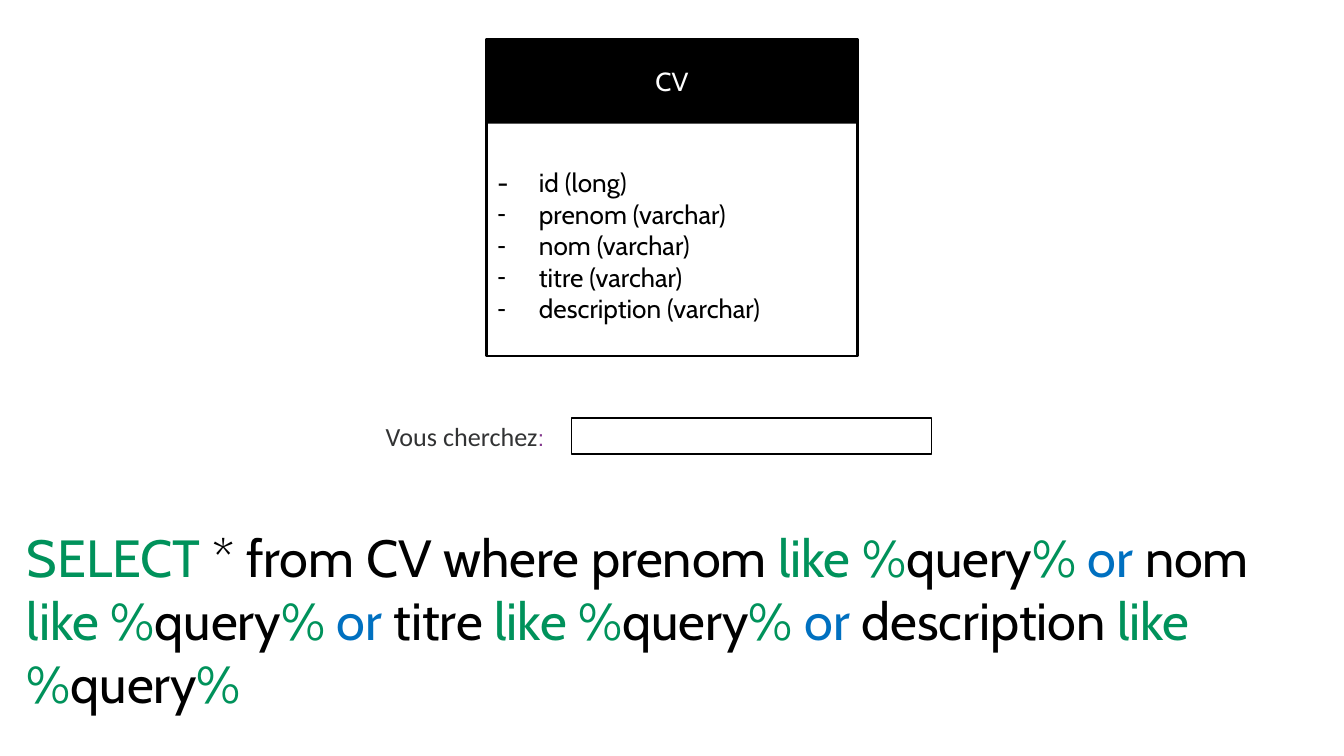
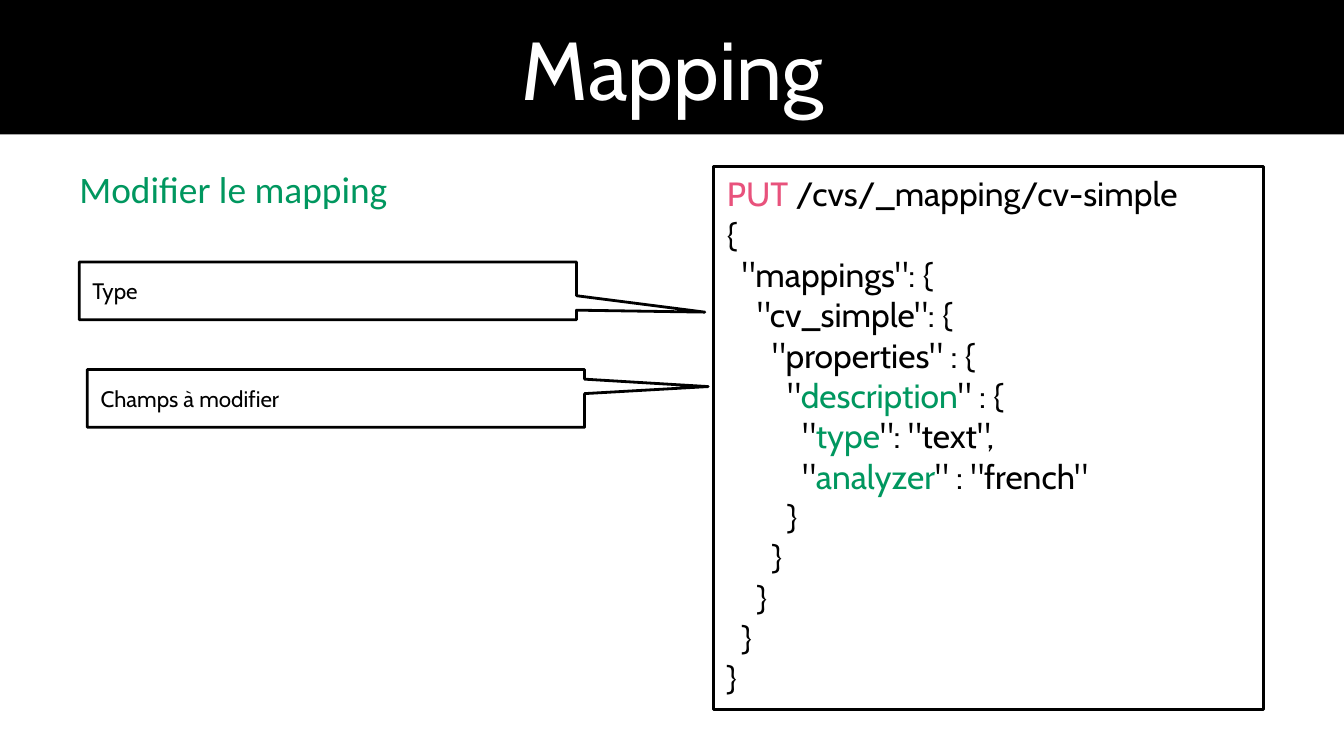
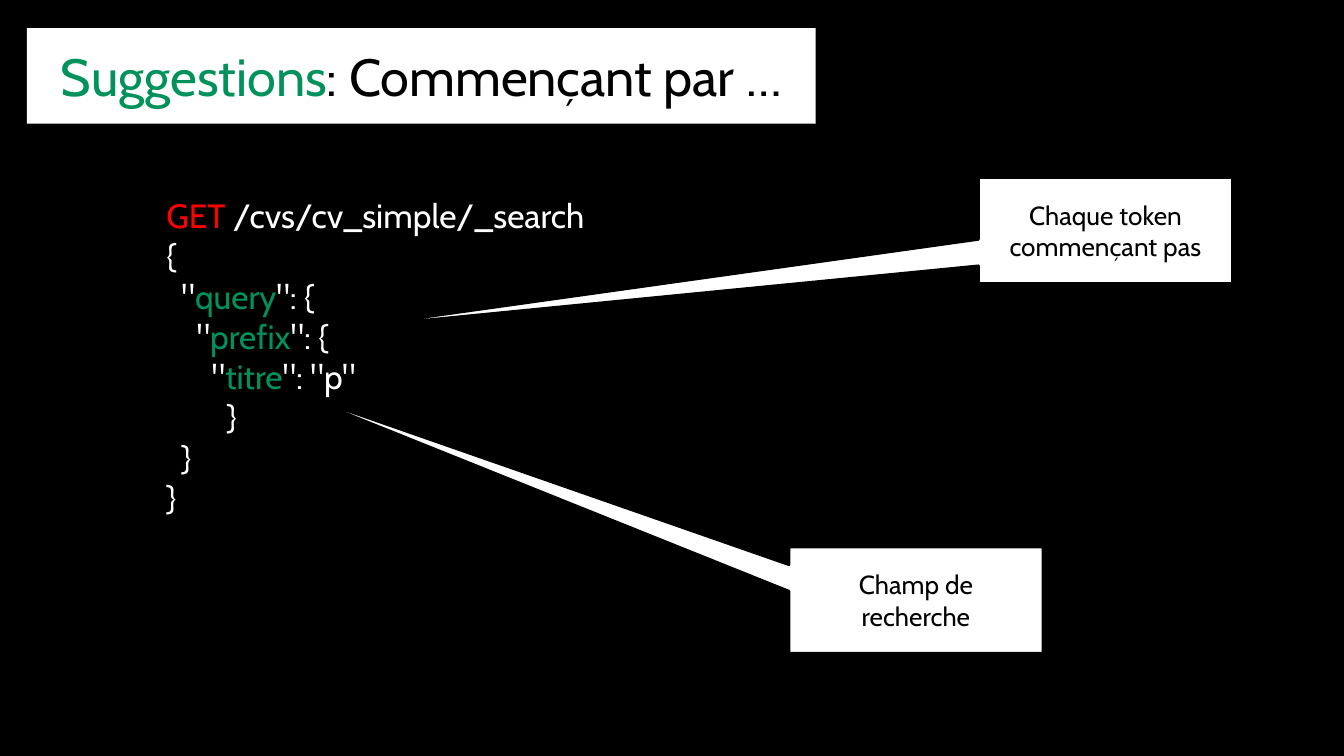
"""Build three slides on searching CVs: SQL query, mapping change and prefix suggestions."""
from dataclasses import dataclass

from lxml import etree
from pptx import Presentation, util as u
from pptx.dml.color import RGBColor
from pptx.enum import shapes as kinds, text as txt
from pptx.oxml.ns import qn


@dataclass(frozen=True)
class Theme:
    """Colours, fonts and type sizes shared by the slides."""
    black: str = "000000"
    white: str = "FFFFFF"
    green: str = "00925B"
    leaf: str = "00975F"
    blue: str = "0070C0"
    pink: str = "E8527C"
    red: str = "FF0000"
    grey: str = "323334"
    purple: str = "82368C"
    body: str = "Cabin"
    label: str = "Calibri"
    plain: str = "Arial"
    title: int = 44
    heading: int = 28
    subhead: int = 20
    code: int = 18
    text: int = 14
    small: int = 12
    outline: float = 1.5


T = Theme()
COLUMNS, ROWS = 100, 56.25
WIDTH = u.Inches(10)
HEIGHT = WIDTH * 9 // 16
PADDED, FLUSH, CODE_INSET = (1, 1), (0, 0), (1, 0.5)

ENTITY = "CV"
ID_FIELD = "id (long)"
SEARCHED = ["prenom", "nom", "titre", "description"]
SEARCH_LABEL = [("Vous cherchez", T.grey, T.text, T.label), (":", T.purple, T.small, T.plain)]

MAPPING_TITLE = "Mapping"
MAPPING_SUBHEAD = "Modifier le mapping"
MAPPING_CODE = [
    [("PUT ", T.pink), "/cvs/_mapping/cv-simple"],
    ["{"],
    ['  "mappings": {'],
    ['    "cv_simple": {'],
    ['      "properties" : {'],
    ['        "', ("description", T.leaf), '" : {'],
    ['          "', ("type", T.leaf), '": "text",'],
    ['          "', ("analyzer", T.leaf), '" : "french"'],
    ["        }"],
    ["      }"],
    ["    }"],
    ["  }"],
    ["}"],
]
MAPPING_NOTES = [
    ("Champs à modifier", (6.5, 27.5), (52.7, 28.77)),
    ("Type", (5.9, 19.5), (52.45, 23.23)),
]

SUGGEST_TITLE = [("Suggestions", T.green), ": Commençant par …"]
SUGGEST_CODE = [
    [("GET", T.red), " /cvs/cv_simple/_search"],
    ["{"],
    ['  "', ("query", T.green), '": {'],
    ['    "', ("prefix", T.green), '": {'],
    ['      "', ("titre", T.green), '": "p"'],
    ["        }"],
    ["  }"],
    ["}"],
]
SUGGEST_NOTES = [
    ("Chaque token commençant pas", (72.8, 13.2), (26.04, 24.37)),
    ("Champ de recherche", (58.7, 40.7), (21, 28.86)),
]


def across(columns):
    return round(WIDTH * columns / COLUMNS)


def down(rows):
    return round(HEIGHT * rows / ROWS)


def rgb(colour):
    return RGBColor.from_string(colour)


def hang(paragraph, bullet):
    """Give a paragraph a hanging indent and, if set, a bullet sign."""
    properties = paragraph._p.get_or_add_pPr()
    properties.set("marL", str(across(3.1)))
    properties.set("indent", str(-across(3.1)))
    if bullet:
        etree.SubElement(properties, qn("a:buFont")).set("typeface", T.plain)
        etree.SubElement(properties, qn("a:buChar")).set("char", bullet)


def write(shape, lines, size, colour=T.black, inset=PADDED, centred=False,
          middle=True, wrap=True, bullets=None):
    """Fill a shape with lines; a run is a string or (text, colour, size, font)."""
    frame = shape.text_frame
    frame.word_wrap = wrap
    frame.margin_left = frame.margin_right = across(inset[0])
    frame.margin_top = frame.margin_bottom = down(inset[1])
    frame.vertical_anchor = txt.MSO_ANCHOR.MIDDLE if middle else txt.MSO_ANCHOR.TOP
    for index, line in enumerate(lines):
        paragraph = frame.paragraphs[0] if index == 0 else frame.add_paragraph()
        paragraph.alignment = txt.PP_ALIGN.CENTER if centred else txt.PP_ALIGN.LEFT
        if bullets:
            hang(paragraph, bullets[index])
        for part in line:
            words, *style = (part,) if isinstance(part, str) else part
            ink, points, face = (*style, *(colour, size, T.body)[len(style):])
            run = paragraph.add_run()
            run.text = words
            run.font.name = face
            run.font.size = u.Pt(points)
            run.font.color.rgb = rgb(ink)


def place(at):
    left, top, width, height = at
    return across(left), down(top), across(width), down(height)


def panel(owner, at, fill=None, line=None, weight=T.outline,
          geometry=kinds.MSO_SHAPE.RECTANGLE):
    shape = owner.shapes.add_shape(geometry, *place(at))
    shape.shadow.inherit = False
    if fill:
        shape.fill.solid()
        shape.fill.fore_color.rgb = rgb(fill)
    else:
        shape.fill.background()
    if line:
        shape.line.color.rgb = rgb(line)
        shape.line.width = u.Pt(weight)
    else:
        shape.line.fill.background()
    return shape


def label(owner, at, lines, size, **options):
    write(owner.shapes.add_textbox(*place(at)), lines, size, **options)


def callouts(slide, notes, extent, size, centred=False):
    """Draw each note with its wedge reaching the tip given in grid units."""
    for words, corner, tip in notes:
        shape = panel(slide, (*corner, *extent), T.white, T.black,
                      geometry=kinds.MSO_SHAPE.RECTANGULAR_CALLOUT)
        for axis in range(2):
            shape.adjustments[axis] = (tip[axis] - corner[axis]) / extent[axis] - 0.5
        write(shape, [[words]], size, centred=centred)


def new_slide(deck, colour):
    slide = deck.slides.add_slide(deck.slide_layouts[6])
    slide.background.fill.solid()
    slide.background.fill.fore_color.rgb = rgb(colour)
    return slide


def sql_query():
    runs = [("SELECT ", T.green), f"* from {ENTITY} where "]
    for index, field in enumerate(SEARCHED):
        if index:
            runs += [("% ", T.green), ("or ", T.blue)]
        runs += [f"{field} ", ("like %", T.green), "query"]
    return runs + [("%", T.green)]


def query_slide(deck):
    slide = new_slide(deck, T.white)
    left, top, width = 36.2, 2.9, 27.6
    panel(slide, (left, top, width, 23.6), T.white, T.black)
    write(panel(slide, (left, top, width, 6.3), T.black), [[ENTITY]], T.text,
          T.white, centred=True)
    fields = [[f"-\t{ID_FIELD}"]] + [[f"{field} (varchar)"] for field in SEARCHED]
    label(slide, (37, 10, 23.2, 16.5), fields, T.text, inset=FLUSH,
          bullets=[None] + ["-"] * len(SEARCHED))
    label(slide, (2, 39.1, 93.7, 15), [sql_query()], T.heading, inset=FLUSH, middle=False)
    search = slide.shapes.add_group_shape()
    label(search, (28.7, 31.3, 14.6, 3.1), [SEARCH_LABEL], T.text, inset=FLUSH, middle=False)
    panel(search, (42.5, 31.1, 26.8, 2.7), line=T.black, weight=0.75)


def mapping_slide(deck):
    slide = new_slide(deck, T.white)
    write(panel(slide, (0, 0, 100.1, 10), T.black), [[MAPPING_TITLE]], T.title,
          T.white, centred=True)
    write(panel(slide, (53.1, 12.4, 40.9, 40.4), line=T.black, weight=1.75),
          MAPPING_CODE, T.code, inset=CODE_INSET, middle=False)
    label(slide, (5.9, 12.4, 26.8, 5), [[(MAPPING_SUBHEAD, T.leaf, T.subhead, T.label)]],
          T.subhead, inset=FLUSH, middle=False, wrap=False)
    callouts(slide, MAPPING_NOTES, (37, 4.3), T.small)


def suggestion_slide(deck):
    slide = new_slide(deck, T.black)
    write(panel(slide, (2, 2.1, 58.7, 7.1), T.white), [SUGGEST_TITLE], T.heading, centred=True)
    label(slide, (11.4, 14, 50, 25.2), SUGGEST_CODE, T.code, colour=T.white,
          inset=CODE_INSET, middle=False)
    callouts(slide, SUGGEST_NOTES, (18.9, 7.9), T.text, centred=True)


def main():
    deck = Presentation()
    deck.slide_width, deck.slide_height = WIDTH, HEIGHT
    for build in (query_slide, mapping_slide, suggestion_slide):
        build(deck)
    deck.save("out.pptx")


if __name__ == "__main__":
    main()
